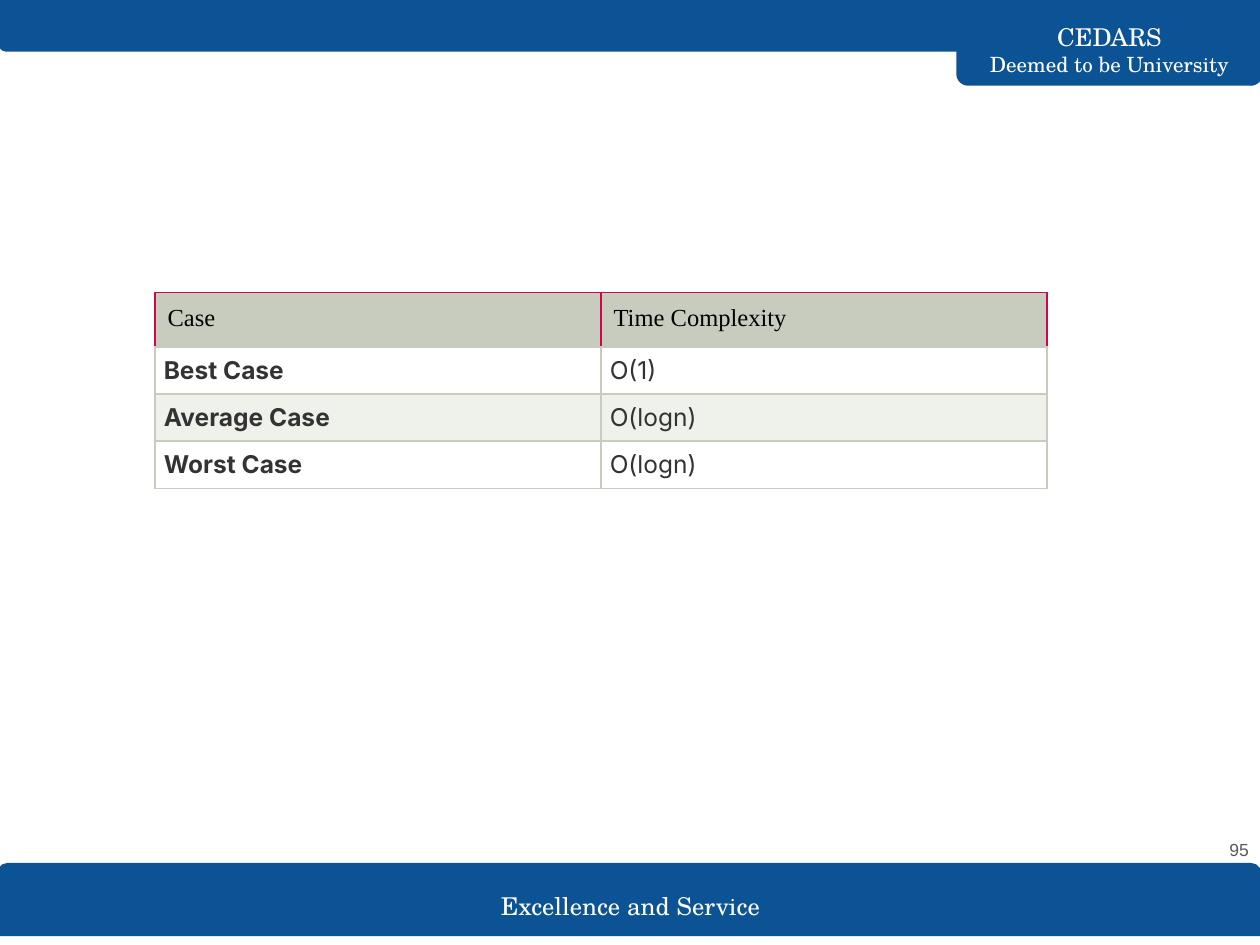
"""Build a slide with a table of time complexity by case, inside a banner and footer."""
import pptx
import pptx.dml.color
import pptx.enum.shapes
import pptx.enum.text
import pptx.oxml
import pptx.oxml.ns
import pptx.util
from dataclasses import dataclass

ROWS = [
    ("Case", "Time Complexity"),
    ("Best Case", "O(1)"),
    ("Average Case", "O(logn)"),
    ("Worst Case", "O(logn)"),
]
UNIVERSITY = [("CEDARS", 14), ("Deemed to be University", 12)]
MOTTO = [("Excellence and Service", 14)]
PAGE_NUMBER = [("95", 10)]

WIDTH, HEIGHT = 10, 7.5
FOOTER_BAR = (-0.01, 6.86, 10.01, 0.56)
NAME_TAB = (7.6, 0, 2.41, 0.67)
TOP_BAR = (0, 0, 10.01, 0.4)
MOTTO_BOX = (3.66, 7.03, 2.69, 0.32)
NAME_BOX = (7.6, 0.27, 2.41, 0.25)
NUMBER_BOX = (9.41, 6.46, 0.6, 0.57)
TABLE_LEFT, TABLE_TOP, COLUMN_WIDTH, ROW_HEIGHT = 1.23, 2.32, 3.54, 0.19


@dataclass(frozen=True)
class Theme:
    blue: str = "0B5394"
    white: str = "FFFFFF"
    gray: str = "595959"
    black: str = "000000"
    body: str = "333333"
    header_fill: str = "C7CCBE"
    band_fill: str = "EFF1EB"
    header_border: str = "D0064D"
    border: str = "C7CCBE"
    banner_font: str = "TeX Gyre Schola"
    number_font: str = "Arial"
    header_font: str = "Times New Roman"
    body_font: str = "Inter"
    table_size: int = 14
    bar_line: float = 1.5
    border_line: float = 0.75


THEME = Theme()
ALIGN = pptx.enum.text.PP_ALIGN
ANCHOR = pptx.enum.text.MSO_ANCHOR


def rgb(value):
    return pptx.dml.color.RGBColor.from_string(value)


def inches(values):
    return [pptx.util.Inches(value) for value in values]


def write_text(frame, lines, *, font, color, align, bold=False):
    paragraph = frame.paragraphs[0]
    paragraph.alignment = align
    for index, (text, size) in enumerate(lines):
        if index:
            paragraph.add_line_break()
        run = paragraph.add_run()
        run.text = text
        run.font.name = font
        run.font.size = pptx.util.Pt(size)
        run.font.bold = bold
        run.font.color.rgb = rgb(color)


def add_bar(slide, box, rotation=0):
    kind = pptx.enum.shapes.MSO_SHAPE.ROUND_2_SAME_RECTANGLE
    shape = slide.shapes.add_shape(kind, *inches(box))
    shape.adjustments[0] = 0.125
    shape.adjustments[1] = 0
    shape.rotation = rotation
    shape.shadow.inherit = False
    shape.fill.solid()
    shape.fill.fore_color.rgb = rgb(THEME.blue)
    shape.line.color.rgb = rgb(THEME.blue)
    shape.line.width = pptx.util.Pt(THEME.bar_line)


def add_label(slide, box, lines, **text_format):
    frame = slide.shapes.add_textbox(*inches(box)).text_frame
    frame.word_wrap = True
    frame.vertical_anchor = ANCHOR.MIDDLE
    frame.margin_left = frame.margin_right = pptx.util.Inches(0.1)
    frame.margin_top = frame.margin_bottom = pptx.util.Inches(0.1)
    write_text(frame, lines, **text_format)


def set_borders(cell, colors):
    properties = cell._tc.get_or_add_tcPr()
    width = pptx.util.Pt(THEME.border_line)
    namespace = pptx.oxml.ns.nsdecls("a")
    for index, (side, color) in enumerate(zip("LRTB", colors)):
        properties.insert(index, pptx.oxml.parse_xml(
            f'<a:ln{side} {namespace} w="{width}"><a:solidFill>'
            f'<a:srgbClr val="{color}"/></a:solidFill></a:ln{side}>'))


def style_cell(cell, text, row, column):
    header = row == 0
    margin = pptx.util.Inches(0.1 if header else 0.07)
    cell.margin_left = cell.margin_right = margin
    cell.margin_top = cell.margin_bottom = margin
    cell.vertical_anchor = ANCHOR.TOP
    body_fill = THEME.white if row % 2 else THEME.band_fill
    cell.fill.solid()
    cell.fill.fore_color.rgb = rgb(THEME.header_fill if header else body_fill)
    edge = THEME.header_border if header else THEME.border
    set_borders(cell, (edge, edge, edge, THEME.border))
    write_text(
        cell.text_frame, [(text, THEME.table_size)],
        font=THEME.header_font if header else THEME.body_font,
        color=THEME.black if header else THEME.body,
        align=ALIGN.LEFT if header else ALIGN.JUSTIFY,
        bold=not header and column == 0)


def add_case_table(slide):
    row_count, column_count = len(ROWS), len(ROWS[0])
    box = (TABLE_LEFT, TABLE_TOP, COLUMN_WIDTH * column_count, ROW_HEIGHT * row_count)
    table = slide.shapes.add_table(row_count, column_count, *inches(box)).table
    table.horz_banding = False
    for row, texts in enumerate(ROWS):
        for column, text in enumerate(texts):
            style_cell(table.cell(row, column), text, row, column)


def main():
    presentation = pptx.Presentation()
    presentation.slide_width, presentation.slide_height = inches((WIDTH, HEIGHT))
    slide = presentation.slides.add_slide(presentation.slide_layouts[6])
    banner = dict(font=THEME.banner_font, color=THEME.white, align=ALIGN.CENTER)
    add_bar(slide, FOOTER_BAR)
    add_label(slide, MOTTO_BOX, MOTTO, **banner)
    add_bar(slide, NAME_TAB, rotation=180)
    add_bar(slide, TOP_BAR, rotation=180)
    add_label(slide, NAME_BOX, UNIVERSITY, **banner)
    add_label(slide, NUMBER_BOX, PAGE_NUMBER,
              font=THEME.number_font, color=THEME.gray, align=ALIGN.RIGHT)
    add_case_table(slide)
    presentation.save("out.pptx")


if __name__ == "__main__":
    main()
